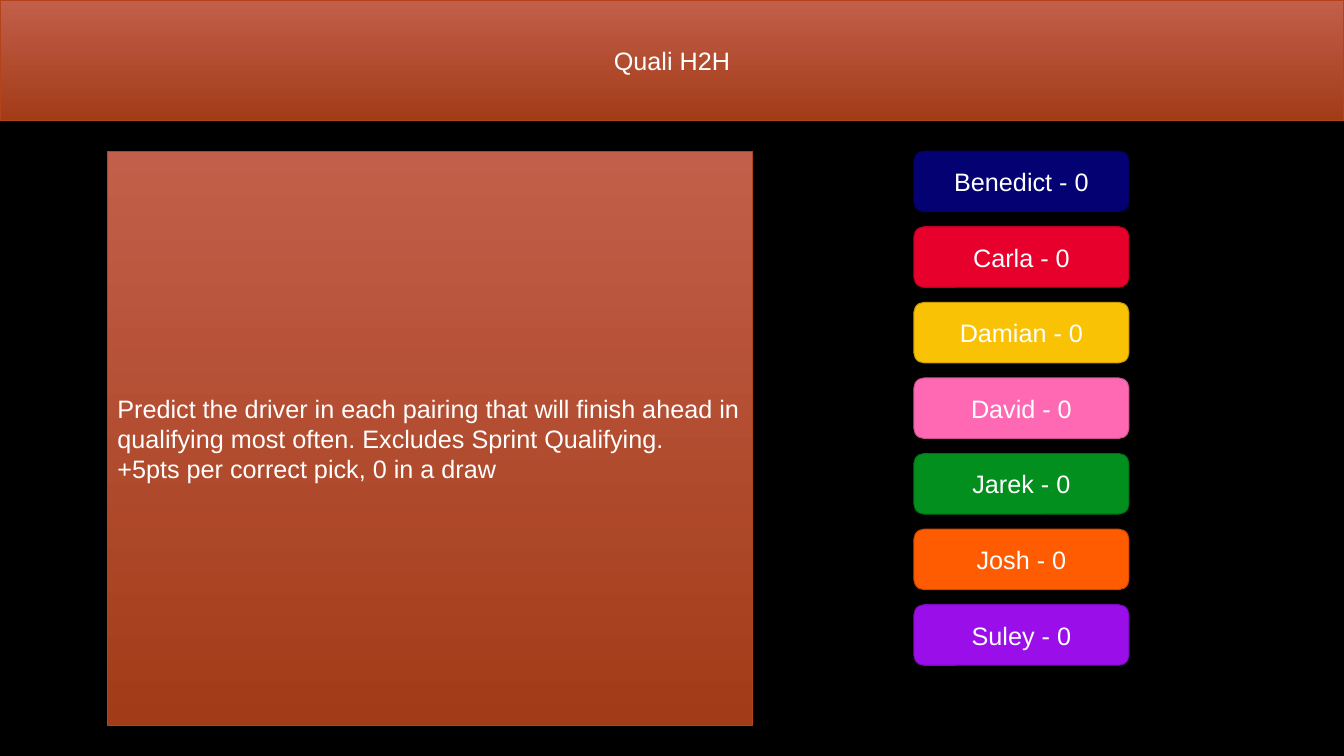
from pptx import Presentation
from pptx.dml.color import RGBColor
from pptx.enum.shapes import MSO_SHAPE as Shape
from pptx.enum.text import MSO_ANCHOR as Anchor, MSO_AUTO_SIZE as Fit, PP_ALIGN as Align
from pptx.util import Pt

TITLE = "Quali H2H"
RULES = ("Predict the driver in each pairing that will finish ahead in "
         "qualifying most often. Excludes Sprint Qualifying.\v"
         "+5pts per correct pick, 0 in a draw")
SCORES = [
    ("Benedict", 0, "040273"),
    ("Carla", 0, "E8002D"),
    ("Damian", 0, "FAC205"),
    ("David", 0, "FF69B4"),
    ("Jarek", 0, "028F1E"),
    ("Josh", 0, "FF5B00"),
    ("Suley", 0, "9A0EEA"),
]
RUST = ("C25F4A", "A23B17")
EDGE = "B4421A"

WIDTH, HEIGHT = 960, 540
PANEL = (76.8, 108, 460.8, 410.4)
LEFT, TOP, WIDE, HIGH, STEP = 652.8, 108, 153.6, 43.2, 54


def paint(color, code):
    color.rgb = RGBColor.from_string(code)


def darken(code):
    """Return the colour at four fifths of its brightness."""
    return "".join(f"{int(code[i:i + 2], 16) * 4 // 5:02X}" for i in (0, 2, 4))


def blend(shape):
    """Fill the shape from light rust at the top to dark at the bottom."""
    shape.fill.gradient()
    shape.fill.gradient_angle = 270
    for stop, code, pos in zip(shape.fill.gradient_stops, RUST, (0, 1)):
        paint(stop.color, code)
        stop.position = pos


def outline(shape, code):
    shape.line.width = Pt(0.75)
    paint(shape.line.color, code)


def write(shape, text, align):
    frame = shape.text_frame
    frame.text = text
    frame.word_wrap = True
    frame.auto_size = Fit.NONE
    frame.vertical_anchor = Anchor.MIDDLE
    for para in frame.paragraphs:
        para.alignment = align
        para.line_spacing = 1.0
        for run in para.runs:
            run.font.name = "Arial"
            run.font.size = Pt(18)
            paint(run.font.color, "FFFFFF")


def add_box(slide, kind, box):
    shape = slide.shapes.add_shape(kind, *map(Pt, box))
    shape.shadow.inherit = False
    return shape


def main():
    deck = Presentation()
    deck.slide_width, deck.slide_height = Pt(WIDTH), Pt(HEIGHT)
    slide = deck.slides.add_slide(deck.slide_layouts[5])
    slide.background.fill.solid()
    paint(slide.background.fill.fore_color, "000000")

    title = slide.shapes.title
    title.left, title.top = Pt(0), Pt(0)
    title.width, title.height = Pt(WIDTH), Pt(86.4)
    panel = add_box(slide, Shape.RECTANGLE, PANEL)
    for shape, text, align in ((title, TITLE, Align.CENTER),
                               (panel, RULES, Align.LEFT)):
        blend(shape)
        outline(shape, EDGE)
        write(shape, text, align)

    for row, (name, score, code) in enumerate(SCORES):
        card = add_box(slide, Shape.ROUNDED_RECTANGLE,
                       (LEFT, TOP + row * STEP, WIDE, HIGH))
        card.fill.solid()
        paint(card.fill.fore_color, code)
        outline(card, darken(code))
        write(card, f"{name} - {score}", Align.CENTER)

    deck.save("out.pptx")


if __name__ == "__main__":
    main()
